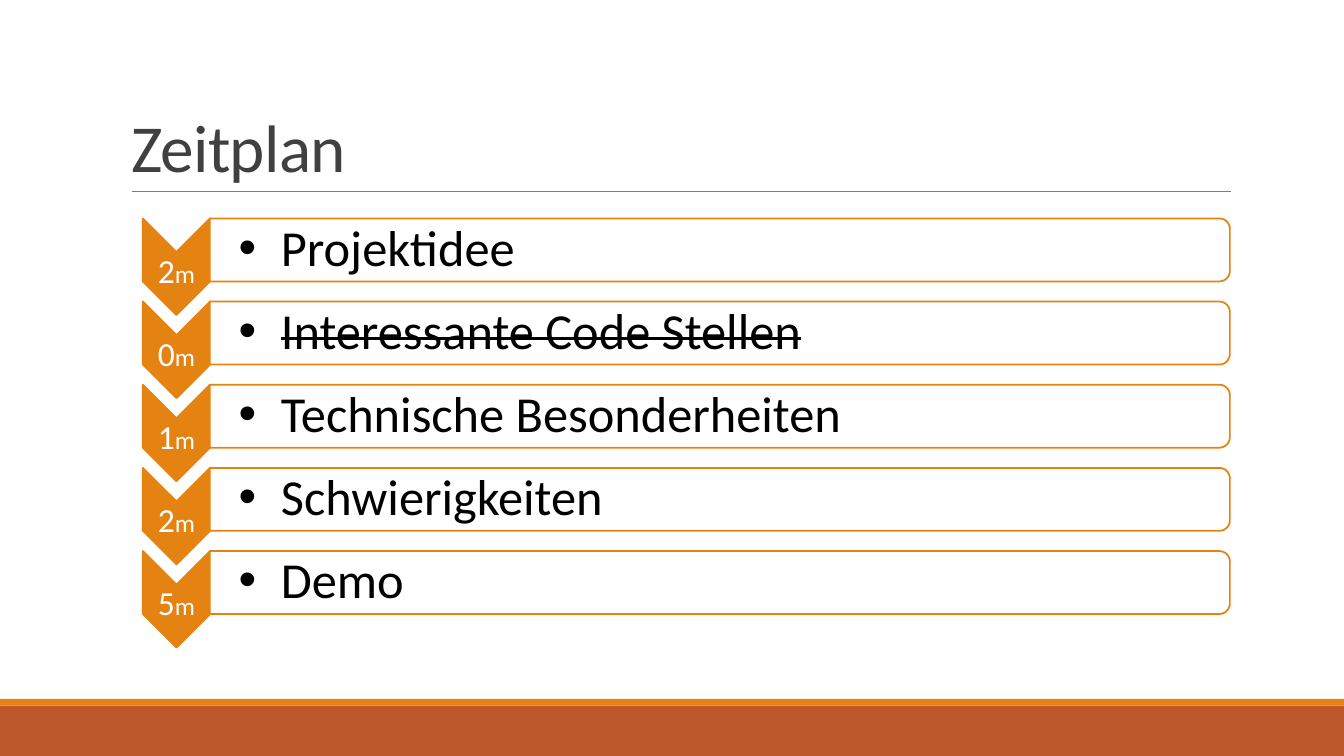
from dataclasses import dataclass

from lxml.etree import SubElement
from pptx import Presentation
from pptx.dml.color import RGBColor
from pptx.enum.shapes import MSO_CONNECTOR, MSO_SHAPE
from pptx.enum.text import MSO_ANCHOR, MSO_AUTO_SIZE, PP_ALIGN
from pptx.oxml.ns import qn
from pptx.shapes.autoshape import Shape
from pptx.slide import Slide
from pptx.text.text import TextFrame, _Run
from pptx.util import Inches, Pt

COLUMNS, ROWS = 160, 90
SLIDE_WIDTH, SLIDE_HEIGHT = Inches(13.33), Inches(7.5)


@dataclass(frozen=True)
class Theme:
    font: str = "Calibri"
    accent: str = "E48312"
    footer: str = "BD582C"
    rule: str = "808080"
    title: str = "404040"
    text: str = "000000"
    paper: str = "FFFFFF"
    title_size: int = 48
    item_size: int = 36
    minutes_size: int = 24
    unit_size: int = 18
    outline: float = 1.25
    hairline: float = 0.5


@dataclass(frozen=True)
class Box:
    column: float
    row: float
    columns: float
    rows: float

    def down(self, rows: float) -> "Box":
        return Box(self.column, self.row + rows, self.columns, self.rows)

    def turned(self) -> "Box":
        shift = (self.columns - self.rows) / 2
        return Box(self.column + shift, self.row - shift, self.rows, self.columns)


@dataclass(frozen=True)
class Step:
    minutes: int
    topic: str
    dropped: bool = False


THEME = Theme()
STEPS = [
    Step(2, "Projektidee"),
    Step(0, "Interessante Code Stellen", dropped=True),
    Step(1, "Technische Besonderheiten"),
    Step(2, "Schwierigkeiten"),
    Step(5, "Demo"),
]
STEP_PITCH = 9.9
TITLE = Box(14.4, 3.7, 132, 19.1)
FOOTER = Box(0, 84, COLUMNS, 6)
FOOTER_EDGE = Box(0, 83.2, COLUMNS, 0.8)
RULE = Box(15.7, 22.8, 130.8, 0)
CHEVRON = Box(17, 26, 8, 11.5)
MINUTES = Box(17, 30, 8, 3.5)
PANEL = Box(25, 26, 121.4, 7.5)
TOPIC = Box(25, 26.4, 121, 6.7)
MINUTES_INSET, TOPIC_INSET, TOPIC_LEFT = 0.25, 0.36, 3.4
BULLET_INDENT = Inches(0.42)


def across(columns: float) -> int:
    return round(SLIDE_WIDTH * columns / COLUMNS)


def along(rows: float) -> int:
    return round(SLIDE_HEIGHT * rows / ROWS)


def place(box: Box) -> tuple[int, int, int, int]:
    return across(box.column), along(box.row), across(box.columns), along(box.rows)


def style(span: _Run, size: float, color: str) -> None:
    span.font.name = THEME.font
    span.font.size = Pt(size)
    span.font.color.rgb = RGBColor.from_string(color)


def add_panel(page: Slide, kind: MSO_SHAPE, box: Box, fill: str,
              line: str | None = None, turn: bool = False) -> Shape:
    shape = page.shapes.add_shape(kind, *place(box.turned() if turn else box))
    shape.shadow.inherit = False
    shape.rotation = 90 if turn else 0
    shape.fill.solid()
    shape.fill.fore_color.rgb = RGBColor.from_string(fill)
    if line:
        shape.line.color.rgb = RGBColor.from_string(line)
        shape.line.width = Pt(THEME.outline)
    else:
        shape.line.fill.background()
    return shape


def add_rule(page: Slide) -> None:
    left, top, width, height = place(RULE)
    rule = page.shapes.add_connector(
        MSO_CONNECTOR.STRAIGHT, left, top, left + width, top + height)
    rule.line.color.rgb = RGBColor.from_string(THEME.rule)
    rule.line.width = Pt(THEME.hairline)
    SubElement(rule._element.spPr, qn("a:effectLst"))


def add_text(page: Slide, box: Box, inset: float, left_inset: float) -> TextFrame:
    frame = page.shapes.add_textbox(*place(box)).text_frame
    frame.word_wrap = True
    frame.auto_size = MSO_AUTO_SIZE.NONE
    frame.margin_left = across(left_inset)
    frame.margin_right = across(inset)
    frame.margin_top = frame.margin_bottom = along(inset)
    frame.paragraphs[0].line_spacing = 0.9
    return frame


def add_title(page: Slide, text: str) -> None:
    title = page.shapes.title
    title.left, title.top, title.width, title.height = place(TITLE)
    frame = title.text_frame
    frame.text = text
    frame.auto_size = MSO_AUTO_SIZE.NONE
    frame.vertical_anchor = MSO_ANCHOR.BOTTOM
    para = frame.paragraphs[0]
    para.alignment = PP_ALIGN.LEFT
    para.line_spacing = 0.85
    span = para.runs[0]
    style(span, THEME.title_size, THEME.title)
    span._r.get_or_add_rPr().set("spc", "-50")


def add_minutes(page: Slide, box: Box, minutes: int) -> None:
    para = add_text(page, box, MINUTES_INSET, MINUTES_INSET).paragraphs[0]
    para.text = str(minutes)
    para.alignment = PP_ALIGN.CENTER
    style(para.runs[0], THEME.minutes_size, THEME.paper)
    unit = para.add_run()
    unit.text = "m"
    style(unit, THEME.unit_size, THEME.paper)


def add_topic(page: Slide, box: Box, step: Step) -> None:
    frame = add_text(page, box, TOPIC_INSET, TOPIC_LEFT)
    frame.vertical_anchor = MSO_ANCHOR.MIDDLE
    para = frame.paragraphs[0]
    para.text = step.topic
    style(para.runs[0], THEME.item_size, THEME.text)
    if step.dropped:
        para.runs[0]._r.get_or_add_rPr().set("strike", "sngStrike")
    properties = para._p.get_or_add_pPr()
    properties.set("marL", str(BULLET_INDENT))
    properties.set("indent", str(-BULLET_INDENT))
    SubElement(properties, qn("a:buFont"), typeface="Arial")
    SubElement(properties, qn("a:buChar"), char="•")


def add_step(page: Slide, step: Step, offset: float) -> None:
    add_panel(page, MSO_SHAPE.CHEVRON, CHEVRON.down(offset),
              THEME.accent, THEME.accent, turn=True)
    add_minutes(page, MINUTES.down(offset), step.minutes)
    panel = add_panel(page, MSO_SHAPE.ROUND_2_SAME_RECTANGLE, PANEL.down(offset),
                      THEME.paper, THEME.accent, turn=True)
    color = panel._element.spPr.find(qn("a:solidFill")).find(qn("a:srgbClr"))
    SubElement(color, qn("a:alpha"), val="90000")
    add_topic(page, TOPIC.down(offset), step)


def main() -> None:
    deck = Presentation()
    deck.slide_width, deck.slide_height = SLIDE_WIDTH, SLIDE_HEIGHT
    page = deck.slides.add_slide(deck.slide_layouts.get_by_name("Title Only"))
    add_panel(page, MSO_SHAPE.RECTANGLE, FOOTER, THEME.footer)
    add_panel(page, MSO_SHAPE.RECTANGLE, FOOTER_EDGE, THEME.accent)
    add_rule(page)
    add_title(page, "Zeitplan")
    for index, step in enumerate(STEPS):
        add_step(page, step, index * STEP_PITCH)
    deck.save("out.pptx")


if __name__ == "__main__":
    main()
